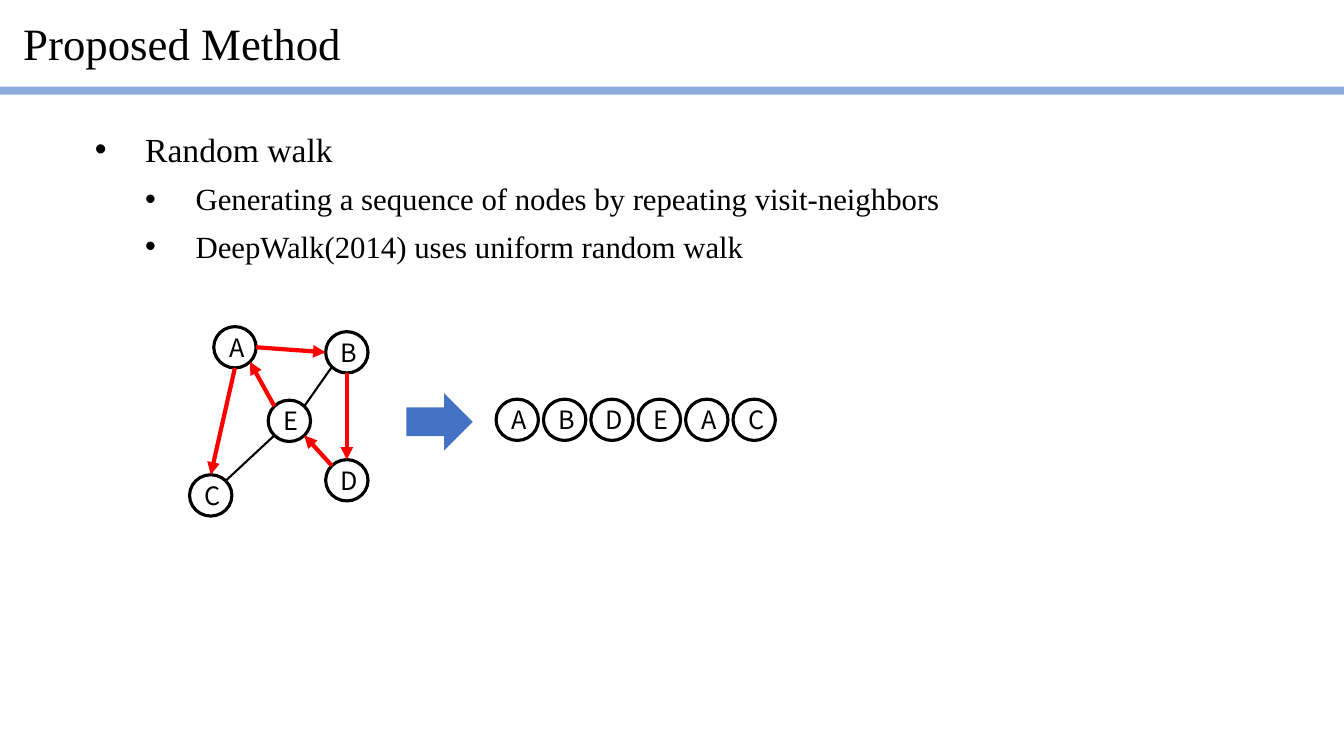
import math

import pptx
import pptx.chart.data
import pptx.dml.color
import pptx.enum.shapes
import pptx.enum.text
import pptx.oxml.ns
import pptx.util
from lxml import etree

PX = 9144
COLORS = {"ink": "000000", "paper": "FFFFFF", "walk": "FF0000", "rule": "8FAADC", "arrow": "4472C4"}
RGB = {name: pptx.dml.color.RGBColor.from_string(value) for name, value in COLORS.items()}
SERIF = "Times New Roman"
SANS = "Noto Sans CJK KR"
NODE_WIDTH, NODE_HEIGHT = 42, 41
SHAPES = pptx.enum.shapes.MSO_SHAPE
ALIGN = pptx.enum.text.PP_ALIGN
MIDDLE = pptx.enum.text.MSO_ANCHOR.MIDDLE

presentation = pptx.Presentation()
presentation.slide_width = 1333 * PX
presentation.slide_height = 750 * PX
slide = presentation.slides.add_slide(presentation.slide_layouts[1])


def add_filled_shape(kind, left, top, width, height, color):
    shape = slide.shapes.add_shape(kind, left * PX, top * PX, width * PX, height * PX)
    shape.shadow.inherit = False
    shape.fill.solid()
    shape.fill.fore_color.rgb = RGB[color]
    shape.line.fill.background()
    return shape


def add_edge(start, start_angle, end, end_angle, color, width):
    points = []
    for node, angle in ((start, start_angle), (end, end_angle)):
        left, top = nodes[node]
        points.append(round((left + NODE_WIDTH / 2 * (1 + math.cos(math.radians(angle)))) * PX))
        points.append(round((top + NODE_HEIGHT / 2 * (1 - math.sin(math.radians(angle)))) * PX))
    connector = slide.shapes.add_connector(pptx.enum.shapes.MSO_CONNECTOR.STRAIGHT, *points)
    connector.line.color.rgb = RGB[color]
    connector.line.width = pptx.util.Pt(width)
    etree.SubElement(connector._element.spPr, pptx.oxml.ns.qn("a:effectLst"))
    return connector


title = slide.shapes.title
body = slide.placeholders[1]
texts = [
    (title, (-37, 7, 1276, 66), MIDDLE, [("Proposed Method", 0, 32, 50, 0, None)]),
    (body, (34, 119, 1258, 544), pptx.enum.text.MSO_ANCHOR.TOP, [
        ("Random walk", 0, 24, 100, -50, "•"),
        ("Generating a sequence of nodes by repeating visit-neighbors", 1, 22, 150, -50, "•"),
        ("DeepWalk(2014) uses uniform random walk", 1, 22, 150, -50, "•"),
    ]),
]
for placeholder, (left, top, width, height), anchor, lines in texts:
    placeholder.left, placeholder.top = left * PX, top * PX
    placeholder.width, placeholder.height = width * PX, height * PX
    frame = placeholder.text_frame
    frame.auto_size = pptx.enum.text.MSO_AUTO_SIZE.NONE
    frame.word_wrap = True
    frame.vertical_anchor = anchor
    for index, (text, level, size, margin, indent, bullet) in enumerate(lines):
        paragraph = frame.add_paragraph() if index else frame.paragraphs[0]
        paragraph.level = level
        paragraph.alignment = ALIGN.JUSTIFY
        paragraph.line_spacing = 1.1
        paragraph.space_before = pptx.util.Pt(5 if index else 0)
        properties = paragraph._p.get_or_add_pPr()
        properties.set("marL", str(margin * PX))
        properties.set("indent", str(indent * PX))
        if bullet:
            font = etree.SubElement(properties, pptx.oxml.ns.qn("a:buFont"))
            font.set("typeface", "Arial")
            etree.SubElement(properties, pptx.oxml.ns.qn("a:buChar")).set("char", bullet)
        run = paragraph.add_run()
        run.text = text
        run.font.size = pptx.util.Pt(size)
        run.font.name = SERIF
        run.font.color.rgb = RGB["ink"]

add_filled_shape(SHAPES.RECTANGLE, 0, 86, 1333, 8, "rule")

nodes = {"A": (212, 324), "B": (323, 329), "C": (188, 471), "D": (323, 456), "E": (266, 397)}
sequence = [(letter, (492 + 47 * step, 396)) for step, letter in enumerate("ABDEAC")]
for letter, (left, top) in list(nodes.items()) + sequence:
    circle = add_filled_shape(SHAPES.OVAL, left, top, NODE_WIDTH, NODE_HEIGHT, "paper")
    circle.line.color.rgb = RGB["ink"]
    circle.line.width = pptx.util.Pt(2.25)
    frame = circle.text_frame
    frame.word_wrap = False
    frame.vertical_anchor = MIDDLE
    frame.margin_left = 4 * PX
    frame.margin_right = frame.margin_top = frame.margin_bottom = 0
    paragraph = frame.paragraphs[0]
    paragraph.alignment = ALIGN.CENTER
    run = paragraph.add_run()
    run.text = letter
    run.font.size = pptx.util.Pt(18)
    run.font.name = SANS
    run.font.color.rgb = RGB["ink"]

walk = [("A", 0, "B", 180), ("B", 270, "D", 90), ("D", 135, "E", 315), ("E", 135, "A", 315), ("A", 270, "C", 90)]
unvisited = [("E", 225, "C", 45), ("B", 225, "E", 45)]
for edge in walk + unvisited:
    add_edge(*edge, "ink", 1.5)
for edge in walk:
    connector = add_edge(*edge, "walk", 3)
    line = connector.line._get_or_add_ln()
    etree.SubElement(line, pptx.oxml.ns.qn("a:tailEnd")).set("type", "triangle")

add_filled_shape(SHAPES.RIGHT_ARROW, 403, 390, 66, 57, "arrow")

presentation.save("out.pptx")
